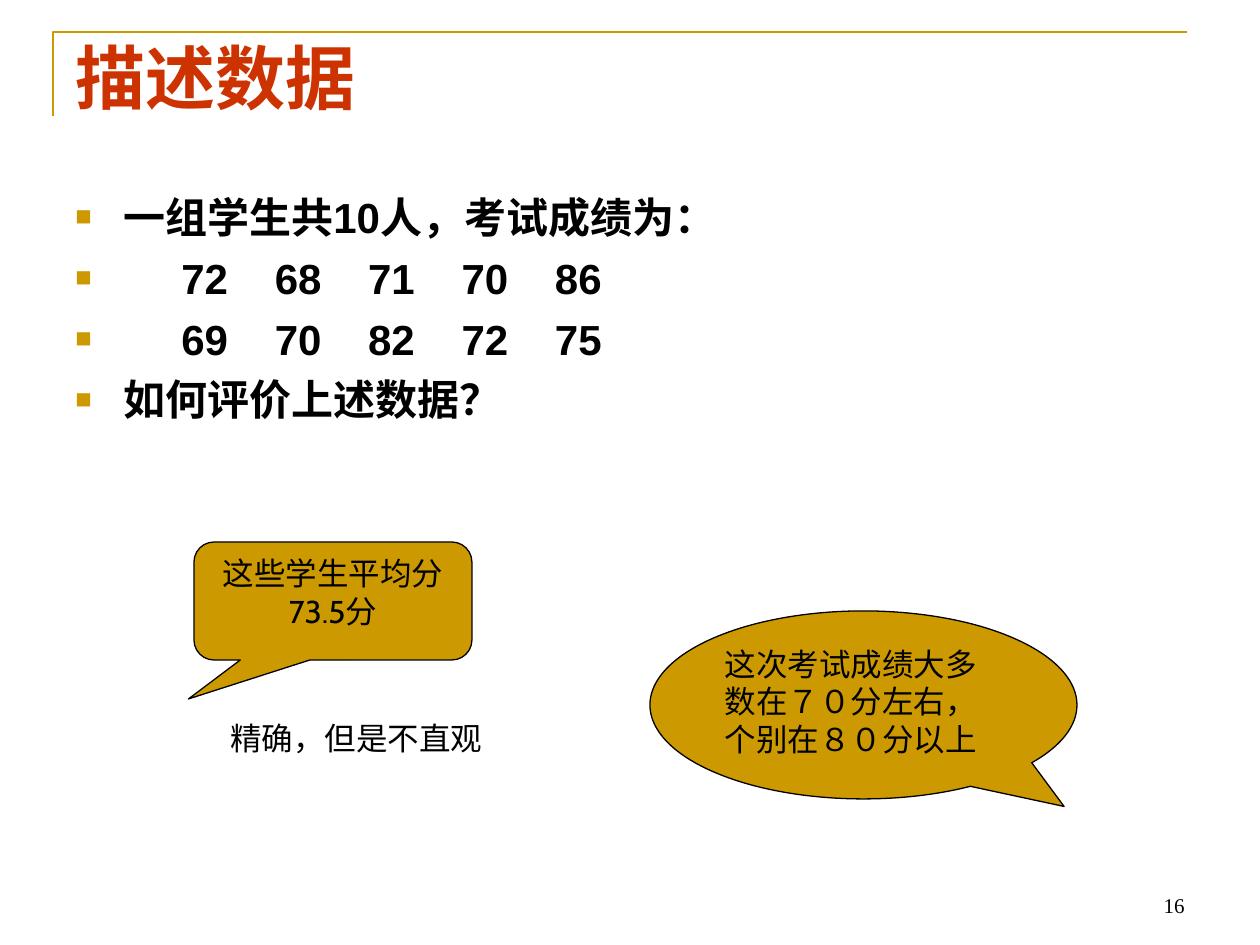
import pptx
import pptx.dml.color
import pptx.enum.shapes
import pptx.enum.text
import pptx.oxml
import pptx.oxml.ns
import pptx.util
from lxml import etree

PX = 914400 / 126
GOLD, RED, BLACK = "CC9900", "CC3300", "000000"
ALIGN = pptx.enum.text.PP_ALIGN
ANCHOR = pptx.enum.text.MSO_ANCHOR
SHAPE = pptx.enum.shapes.MSO_SHAPE


def px(n):
    return pptx.util.Emu(round(n * PX))


def rgb(value):
    return pptx.dml.color.RGBColor.from_string(value)


def sub(parent, tag, **attrs):
    return etree.SubElement(parent, pptx.oxml.ns.qn(tag), attrs)


def add_run(p, text, font):
    """Add a run whose East Asian font is the same as its Latin font."""
    r = p.add_run()
    r.text = text
    sub(r._r.get_or_add_rPr(), "a:ea", typeface=font)
    return r


def style(p, font, size, color=BLACK, bold=False, align=ALIGN.LEFT):
    p.alignment = align
    p.font.name = font
    p.font.size = pptx.util.Pt(size)
    p.font.bold = bold
    p.font.color.rgb = rgb(color)


def add_text(s, box, text, font, size, anchor=ANCHOR.TOP, wrap=True, **look):
    tf = s.shapes.add_textbox(*map(px, box)).text_frame
    tf.word_wrap = wrap
    tf.vertical_anchor = anchor
    p = tf.paragraphs[0]
    style(p, font, size, **look)
    add_run(p, text, font)
    return p


def add_bullet(p, indent):
    """Give a paragraph a square bullet at the left edge and text at indent."""
    pPr = p._p.get_or_add_pPr()
    pPr.set("marL", str(px(indent)))
    pPr.set("indent", str(-px(indent)))
    marks = [
        pptx.oxml.parse_xml(f"<a:{xml} {pptx.oxml.ns.nsdecls('a')}{end}")
        for xml, end in (
            ("buClr", f'><a:srgbClr val="{GOLD}"/></a:buClr>'),
            ("buSzPct", ' val="65000"/>'),
            ("buFont", ' typeface="Arial"/>'),
            ("buChar", ' char="■"/>'),
        )
    ]
    defaults = pPr.find(pptx.oxml.ns.qn("a:defRPr"))
    for mark in marks:
        defaults.addprevious(mark)


def add_scores(p, scores, font):
    """Write the scores with widened single spaces between them."""
    for i, score in enumerate(scores):
        if i:
            gap = add_run(p, " ", font)
            gap._r.get_or_add_rPr().set("spc", "2000")
        add_run(p, str(score), font)


def add_body(s, box, lines):
    tf = s.shapes.add_textbox(*map(px, box)).text_frame
    tf.word_wrap = True
    for i, line in enumerate(lines):
        p = tf.add_paragraph() if i else tf.paragraphs[0]
        style(p, "Arial", 24, bold=True)
        p.space_before = pptx.util.Pt(6)
        if isinstance(line, str):
            add_bullet(p, 48)
            add_run(p, line, "Arial")
        else:
            add_bullet(p, 106)
            add_scores(p, line, "Arial")


def add_callout(s, kind, box, adjustments, text, align):
    sp = s.shapes.add_shape(kind, *map(px, box))
    sp.shadow.inherit = False
    for i, value in enumerate(adjustments):
        sp.adjustments[i] = value
    sp.fill.solid()
    sp.fill.fore_color.rgb = rgb(GOLD)
    sp.line.color.rgb = rgb(BLACK)
    sp.line.width = pptx.util.Pt(0.75)
    tf = sp.text_frame
    tf.word_wrap = True
    tf.vertical_anchor = ANCHOR.TOP
    style(tf.paragraphs[0], "Cabin", 18, align=align)
    add_run(tf.paragraphs[0], text, "Cabin")


def add_corner_line(s, points):
    start, *rest = [(px(x), px(y)) for x, y in points]
    builder = s.shapes.build_freeform(*start)
    builder.add_line_segments(rest, close=False)
    sp = builder.convert_to_shape()
    sp.shadow.inherit = False
    sp.fill.background()
    sp.line.color.rgb = rgb(GOLD)
    sp.line.width = pptx.util.Pt(1.5)


def main():
    prs = pptx.Presentation()
    prs.slide_width, prs.slide_height = px(1260), px(945)
    s = prs.slides.add_slide(prs.slide_layouts[6])

    add_corner_line(s, [(53, 116), (53, 32), (1187, 32)])
    title = add_text(s, (63, 38, 1134, 157), "描述数据", "Noto Sans CJK SC", 40,
                     color=RED, bold=True)
    title.line_spacing = 0.9
    add_body(s, (63, 185, 1134, 660), [
        "一组学生共10人，考试成绩为：",
        (72, 68, 71, 70, 86),
        (69, 70, 82, 72, 75),
        "如何评价上述数据？",
    ])
    add_callout(s, SHAPE.ROUNDED_RECTANGULAR_CALLOUT, (194, 542, 278, 118),
                (-0.52, 0.83, 0.17), "这些学生平均分73.5分", ALIGN.CENTER)
    add_callout(s, SHAPE.OVAL_CALLOUT, (650, 611, 427, 188), (0.47, 0.54),
                "这次考试成绩大多数在７０分左右，个别在８０分以上", ALIGN.LEFT)
    add_text(s, (218, 713, 277, 50), "精确，但是不直观", "Cabin", 18, wrap=False)
    add_text(s, (903, 861, 294, 63), "16", "Times New Roman", 12,
             anchor=ANCHOR.BOTTOM, align=ALIGN.RIGHT)

    prs.save("out.pptx")


if __name__ == "__main__":
    main()
